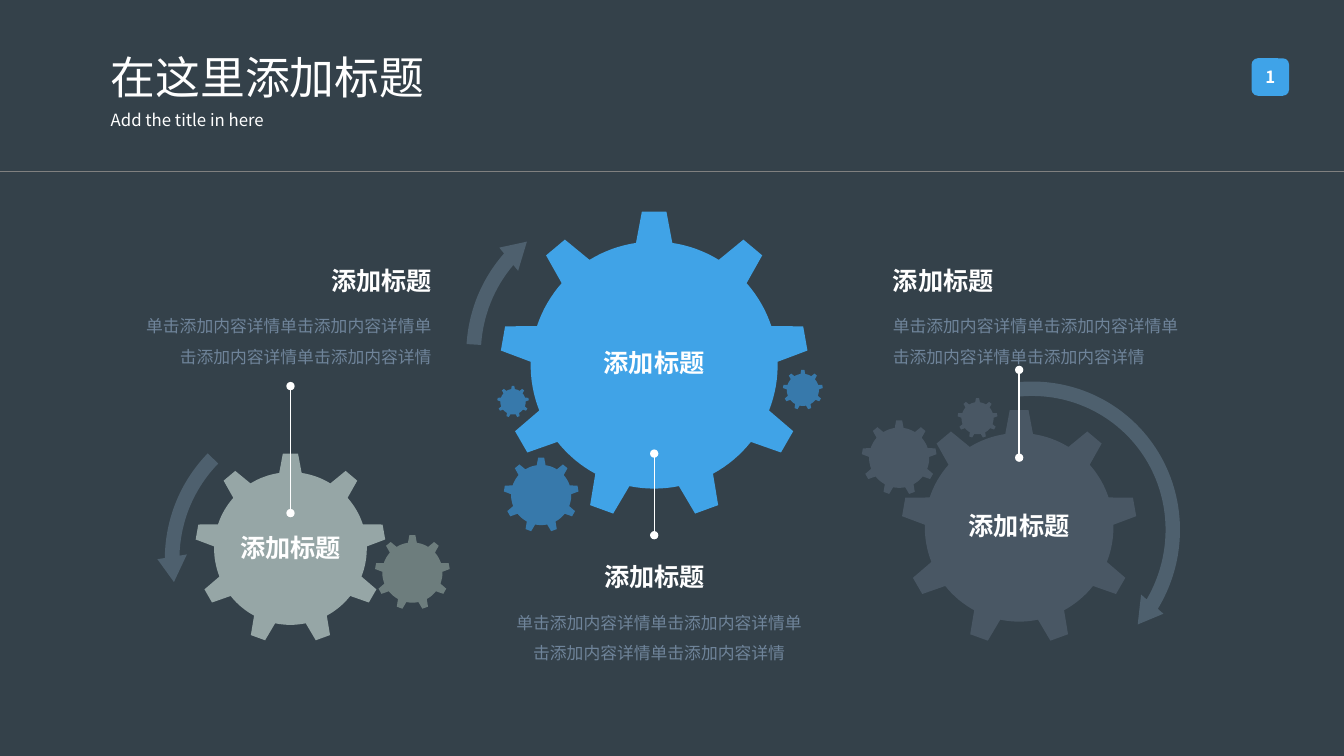
from math import cos, radians, sin

from lxml import etree
from pptx import Presentation
from pptx.dml.color import RGBColor
from pptx.enum.shapes import MSO_CONNECTOR, MSO_SHAPE
from pptx.enum.text import MSO_ANCHOR, MSO_AUTO_SIZE, PP_ALIGN
from pptx.oxml.ns import qn
from pptx.util import Pt

LEFT, CENTER, RIGHT = PP_ALIGN.LEFT, PP_ALIGN.CENTER, PP_ALIGN.RIGHT
MIDDLE = MSO_ANCHOR.MIDDLE
GROW = MSO_AUTO_SIZE.SHAPE_TO_FIT_TEXT
STRAIGHT = MSO_CONNECTOR.STRAIGHT
ROUNDED, ARC_ARROW = MSO_SHAPE.ROUNDED_RECTANGLE, MSO_SHAPE.CIRCULAR_ARROW

FONT = "Noto Sans CJK SC"
WHITE, MUTED, ARROW = "FFFFFF", "6F849A", "4E606E"
BLUE, DARK_BLUE = "40A3E7", "3779AB"
GREY, DARK_GREY, SLATE = "96A6A6", "6D7D7D", "495764"
HEADING = "添加标题"
BODY = "单击添加内容详情单击添加内容详情单\n击添加内容详情单击添加内容详情"


def rgb(color):
    return RGBColor.from_string(color)


def write(tf, text, size=18, color=WHITE, bold=False, align=LEFT, spacing=None):
    tf.word_wrap = True
    for i, line in enumerate(text.split("\n")):
        p = tf.add_paragraph() if i else tf.paragraphs[0]
        p.alignment = align
        if spacing:
            p.line_spacing = spacing
        r = p.add_run()
        r.text = line
        r.font.size, r.font.bold, r.font.name = Pt(size), bold, FONT
        r.font.color.rgb = rgb(color)
        etree.SubElement(r.font._element, qn("a:ea")).set("typeface", FONT)


class Deck:
    def __init__(self, width, height, background):
        self.prs = Presentation()
        self.prs.slide_width, self.prs.slide_height = Pt(width), Pt(height)
        self.s = self.prs.slides.add_slide(self.prs.slide_layouts[6])
        self.s.background.fill.solid()
        self.s.background.fill.fore_color.rgb = rgb(background)

    def paint(self, sp, color):
        sp.shadow.inherit = False
        sp.fill.solid()
        sp.fill.fore_color.rgb = rgb(color)
        sp.line.fill.background()

    def text(self, x, y, w, h, text, **style):
        tf = self.s.shapes.add_textbox(Pt(x), Pt(y), Pt(w), Pt(h)).text_frame
        write(tf, text, **style)
        tf.auto_size = GROW

    def badge(self, x, y, size, text, color):
        sp = self.s.shapes.add_shape(ROUNDED, Pt(x), Pt(y), Pt(size), Pt(size))
        self.paint(sp, color)
        tf = sp.text_frame
        tf.margin_left = tf.margin_right = tf.margin_top = tf.margin_bottom = 0
        tf.vertical_anchor = MIDDLE
        write(tf, text, size=12, bold=True, align=CENTER)

    def arc_arrow(self, x, y, w, h, rotation, start, flips=()):
        sp = self.s.shapes.add_shape(ARC_ARROW, Pt(x), Pt(y), Pt(w), Pt(h))
        for i, value in enumerate((0.046, 6.048, 209.459, start, 0.047)):
            sp.adjustments[i] = value
        sp.rotation = rotation
        for flip in flips:
            sp.element.spPr.find(qn("a:xfrm")).set(flip, "1")
        self.paint(sp, ARROW)

    def gear(self, cx, cy, radius, color, label=None):
        """Nine teeth, 40 degrees apart, joined by arcs of the inner circle."""
        def point(r, angle):
            a = radians(angle)
            return int(Pt(cx + r * sin(a))), int(Pt(cy - r * cos(a)))

        inner, tip, root, steps = radius * 0.802, 4.57, 8.45, 8
        points = []
        for tooth in range(0, 360, 40):
            points += [point(radius, tooth - tip), point(radius, tooth + tip)]
            gap = (40 - 2 * root) / steps
            points += [point(inner, tooth + root + gap * i) for i in range(steps + 1)]
        builder = self.s.shapes.build_freeform(*points[0])
        builder.add_line_segments(points[1:], close=True)
        sp = builder.convert_to_shape()
        self.paint(sp, color)
        if label:
            sp.text_frame.vertical_anchor = MIDDLE
            write(sp.text_frame, label, bold=True, align=CENTER)

    def line(self, x1, y1, x2, y2, color, width, dots=False):
        c = self.s.shapes.add_connector(STRAIGHT, Pt(x1), Pt(y1), Pt(x2), Pt(y2))
        c.line.color.rgb, c.line.width = rgb(color), Pt(width)
        if dots:
            ln = c.line._ln
            for end in ("a:headEnd", "a:tailEnd"):
                etree.SubElement(ln, qn(end)).set("type", "oval")
        etree.SubElement(c.element.spPr, qn("a:effectLst"))


def main():
    deck = Deck(960, 540, "34414A")

    # Rotation arrows
    deck.arc_arrow(327.6, 139, 226.8, 226.8, 231.8, 187.043)
    deck.arc_arrow(112.3, 285.8, 226.8, 227.5, 170.1, 183.425, ["flipV"])
    deck.arc_arrow(623.5, 266.4, 224, 227.5, 221.3, 134.57, ["flipH", "flipV"])

    # Header
    deck.text(72, 31.7, 249, 46, "在这里添加标题", size=32)
    deck.text(72, 74.9, 249, 21.6, "Add the title in here", size=12)
    deck.line(0, 122.4, 960, 122.4, "808080", 0.75)
    deck.badge(894, 41.6, 26.8, "1", "3FA3E8")

    # Gears: centre, radius, colour, label
    for gear in (
        (467.3, 260.8, 110, BLUE, HEADING),
        (573.5, 278.5, 14.3, DARK_BLUE),
        (386.6, 353.6, 26.8, DARK_BLUE),
        (366.5, 287, 11.3, DARK_BLUE),
        (207.5, 391.8, 68, GREY, HEADING),
        (294.6, 409, 26.8, DARK_GREY),
        (728, 376.7, 84, SLATE, HEADING),
        (698.3, 298.7, 14.3, SLATE),
        (642.3, 327, 26.8, SLATE),
    ):
        deck.gear(*gear)

    # Captions: body left, heading left, heading top, alignment
    for body_x, head_x, y, align in (
        (343.4, 404, 397.4, CENTER),
        (60.5, 188.4, 185.8, RIGHT),
        (630.7, 630.7, 185.8, LEFT),
    ):
        deck.text(body_x, y + 29.2, 255, 51, BODY, size=12, color=MUTED,
                  align=align, spacing=1.5)
        deck.text(head_x, y, 127.4, 29, HEADING, bold=True, align=align)

    # Leader lines from gear to caption
    for x, y1, y2 in ((207.5, 366.5, 275.8), (467.3, 324, 382.3), (728, 326.9, 264.2)):
        deck.line(x, y1, x, y2, WHITE, 1, dots=True)

    deck.prs.save("out.pptx")


if __name__ == "__main__":
    main()
